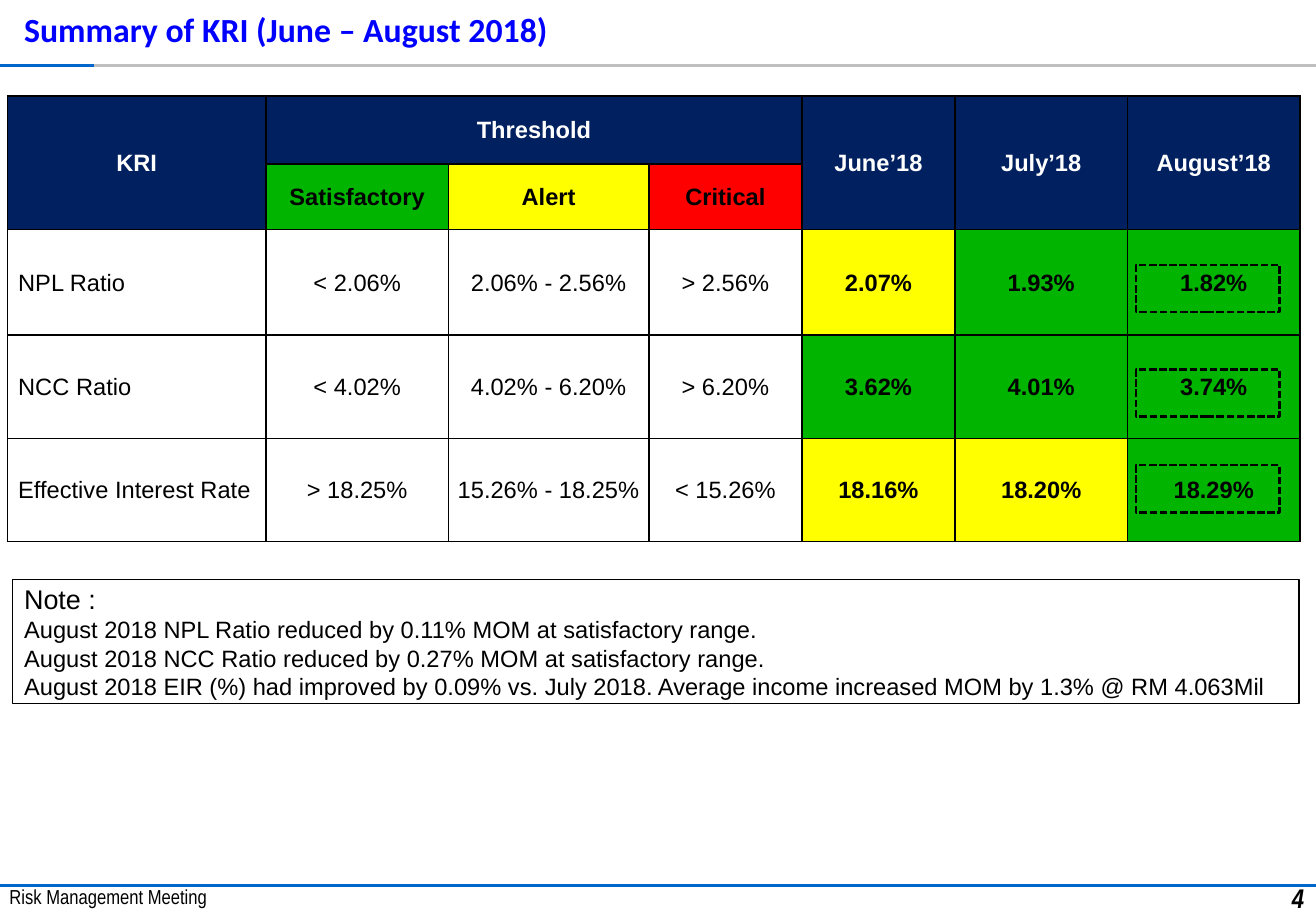
from lxml import etree
from pptx import Presentation
from pptx import util as u
from pptx.dml.color import RGBColor
from pptx.enum import dml, shapes, text
from pptx.oxml import ns

# The slide is a grid of 1083 columns by 750 rows, each 0.01 inch.
COLUMNS, ROWS = 1083, 750
CELL = u.Inches(0.01)

BLACK = RGBColor(0, 0, 0)
WHITE = RGBColor(255, 255, 255)
NAVY = RGBColor(0x00, 0x20, 0x60)
GREEN = RGBColor(0x00, 0xB4, 0x00)
YELLOW = RGBColor(0xFF, 0xFF, 0x00)
RED = RGBColor(0xFF, 0x00, 0x00)
RULE_BLUE = RGBColor(0x00, 0x66, 0xCC)
TITLE_BLUE = RGBColor(0x00, 0x00, 0xFF)
GREY = RGBColor(0xBF, 0xBF, 0xBF)

KRI_WIDTHS = [213, 150, 165, 126, 126, 142, 142]
KRI_HEIGHTS = [56, 54, 87, 85, 85]
HEADINGS = {0: "KRI", 1: "Threshold", 4: "June’18", 5: "July’18", 6: "August’18"}
LEVELS = [("Satisfactory", GREEN), ("Alert", YELLOW), ("Critical", RED)]
INDICATORS = [
    (["NPL Ratio", "< 2.06%", "2.06% - 2.56%", "> 2.56%", "2.07%", "1.93%", "1.82%"],
     [YELLOW, GREEN, GREEN]),
    (["NCC Ratio", "< 4.02%", "4.02% - 6.20%", "> 6.20%", "3.62%", "4.01%", "3.74%"],
     [GREEN, GREEN, GREEN]),
    (["Effective Interest Rate", "> 18.25%", "15.26% - 18.25%", "< 15.26%",
      "18.16%", "18.20%", "18.29%"],
     [YELLOW, YELLOW, GREEN]),
]
NOTES = [
    "Note :",
    "August 2018 NPL Ratio reduced by 0.11% MOM at satisfactory range.",
    "August 2018 NCC Ratio reduced by 0.27% MOM at satisfactory range.",
    "August 2018 EIR (%) had improved by 0.09% vs. July 2018. "
    "Average income increased MOM by 1.3% @ RM 4.063Mil",
]


def place(*cells):
    return [cell * CELL for cell in cells]


def style(para, size, name="Arial", color=BLACK, bold=False, italic=False):
    for span in para.runs:
        font = span.font
        font.size, font.name = u.Pt(size), name
        font.bold, font.italic = bold, italic
        font.color.rgb = color


def add_rule(page, left, right, row, color):
    """Draw a horizontal line across the page."""
    rule = page.shapes.add_connector(
        shapes.MSO_CONNECTOR.STRAIGHT, *place(left, row, right, row))
    rule.line.color.rgb = color
    rule.line.width = u.Pt(1.5)
    etree.SubElement(rule._element.spPr, ns.qn("a:effectLst"))


def add_label(page, area, words, align=text.PP_ALIGN.LEFT,
              anchor=text.MSO_ANCHOR.TOP, **font):
    box = page.shapes.add_textbox(*place(*area))
    frame = box.text_frame
    frame.word_wrap = True
    frame.vertical_anchor = anchor
    frame.text = words
    para = frame.paragraphs[0]
    para.alignment = align
    style(para, **font)
    return para


def add_frame(page, area, width):
    """Draw an unfilled rectangle with a black outline."""
    box = page.shapes.add_shape(shapes.MSO_SHAPE.RECTANGLE, *place(*area))
    box.shadow.inherit = False
    box.fill.background()
    box.line.color.rgb = BLACK
    box.line.width = u.Pt(width)
    return box


def add_borders(cell):
    properties = cell._tc.get_or_add_tcPr()
    for side in ("a:lnL", "a:lnR", "a:lnT", "a:lnB"):
        border = etree.SubElement(properties, ns.qn(side), w=str(u.Pt(1)))
        fill = etree.SubElement(border, ns.qn("a:solidFill"))
        etree.SubElement(fill, ns.qn("a:srgbClr"), val=str(BLACK))


def fill_cell(cell, words, fill=None, color=BLACK, bold=False, centred=True):
    cell.vertical_anchor = text.MSO_ANCHOR.MIDDLE
    cell.margin_left = (1 if centred else 9) * CELL
    cell.margin_right = cell.margin_top = CELL
    cell.margin_bottom = 0
    if fill is None:
        cell.fill.background()
    else:
        cell.fill.solid()
        cell.fill.fore_color.rgb = fill
    cell.text = words
    para = cell.text_frame.paragraphs[0]
    para.alignment = text.PP_ALIGN.CENTER if centred else text.PP_ALIGN.LEFT
    style(para, 14, color=color, bold=bold)


def add_kri_table(page):
    area = place(6, 79, sum(KRI_WIDTHS), sum(KRI_HEIGHTS))
    table = page.shapes.add_table(len(KRI_HEIGHTS), len(KRI_WIDTHS), *area).table
    table.first_row = table.horz_banding = False
    for column, width in zip(table.columns, KRI_WIDTHS):
        column.width = width * CELL
    for row, height in zip(table.rows, KRI_HEIGHTS):
        row.height = height * CELL
    for cell in table.iter_cells():
        add_borders(cell)

    for column, words in HEADINGS.items():
        heading = table.cell(0, column)
        heading.merge(table.cell(0, 3) if words == "Threshold" else table.cell(1, column))
        fill_cell(heading, words, NAVY, WHITE, bold=True)
    for column, (words, fill) in enumerate(LEVELS, 1):
        fill_cell(table.cell(1, column), words, fill, bold=True)
    for row, (values, ratings) in enumerate(INDICATORS, 2):
        fills = [None] * 4 + ratings
        for column, (words, fill) in enumerate(zip(values, fills)):
            fill_cell(table.cell(row, column), words, fill,
                      bold=fill is not None, centred=column > 0)


def add_notes(page):
    frame = add_frame(page, (10, 477, 1059, 102), 0.75).text_frame
    frame.word_wrap = True
    frame.vertical_anchor = text.MSO_ANCHOR.MIDDLE
    frame.text = "\n".join(NOTES)
    for index, para in enumerate(frame.paragraphs):
        para.alignment = text.PP_ALIGN.LEFT
        style(para, 14 if index else 16)


def main():
    deck = Presentation()
    deck.slide_width, deck.slide_height = place(COLUMNS, ROWS)
    page = deck.slides.add_slide(deck.slide_layouts[6])

    add_rule(page, 0, COLUMNS, 729, RULE_BLUE)
    add_label(page, (-2, 723, 317, 52), "Risk Management Meeting",
              size=12, name="Arial Narrow")
    add_label(page, (998, 721, 85, 52), "4", text.PP_ALIGN.RIGHT,
              size=16, name="Arial Narrow", bold=True, italic=True)
    add_rule(page, 0, COLUMNS, 54, GREY)
    add_rule(page, 0, 77, 54, RULE_BLUE)

    add_kri_table(page)
    title = add_label(page, (10, 5, 1020, 41), "Summary of KRI (June – August 2018)",
                      anchor=text.MSO_ANCHOR.MIDDLE,
                      size=20, name="Calibri", color=TITLE_BLUE, bold=True)
    title.line_spacing = 0.93
    add_notes(page)
    for top in (218, 304, 383):
        highlight = add_frame(page, (935, top, 118, 39), 1.5)
        highlight.line.dash_style = dml.MSO_LINE.SQUARE_DOT

    deck.save("out.pptx")


if __name__ == "__main__":
    main()
